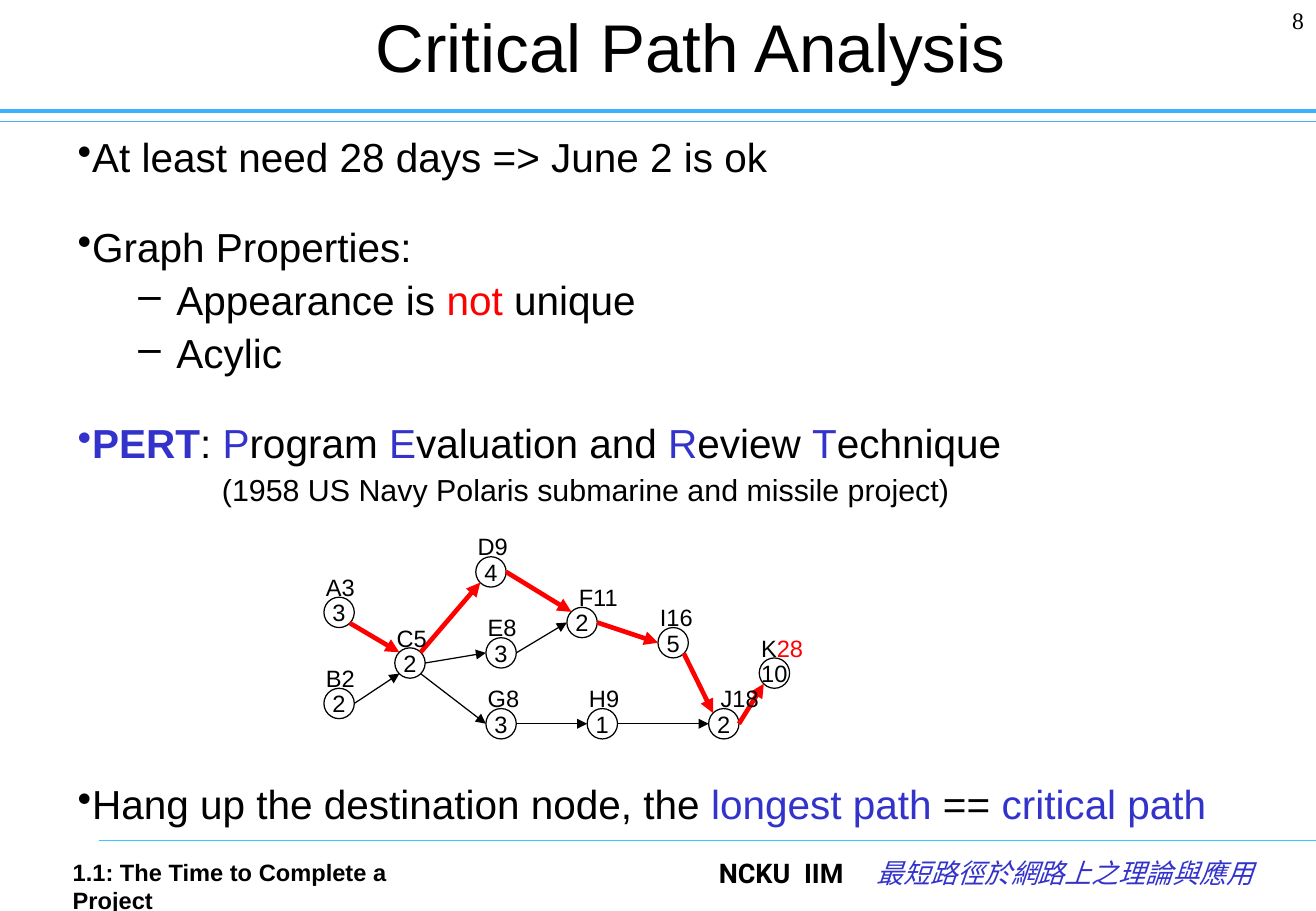
from dataclasses import dataclass
from typing import Any

from lxml import etree
from pptx import Presentation
from pptx.dml.color import RGBColor
from pptx.enum.shapes import MSO_CONNECTOR, MSO_SHAPE
from pptx.enum.text import MSO_ANCHOR, MSO_AUTO_SIZE, PP_ALIGN
from pptx.oxml.ns import qn
from pptx.util import Pt

STRAIGHT = MSO_CONNECTOR.STRAIGHT
CIRCLE = MSO_SHAPE.FLOWCHART_CONNECTOR
MIDDLE = MSO_ANCHOR.MIDDLE
FIXED = MSO_AUTO_SIZE.NONE
LEFT, CENTER, RIGHT = PP_ALIGN.LEFT, PP_ALIGN.CENTER, PP_ALIGN.RIGHT


@dataclass(frozen=True)
class Theme:
    black: str = "000000"
    red: str = "FF0000"
    blue: str = "3333CC"
    sky: str = "3DB0FF"
    aqua: str = "33CCFF"
    sans: str = "Arial"
    serif: str = "Times New Roman"
    brand: str = "Roboto"
    mono: str = "Courier New"
    title: float = 40
    body: float = 24
    note: float = 18
    foot: float = 16
    small: float = 14
    thin: float = 0.75
    rule: float = 2.5
    bold: float = 2.75


@dataclass(frozen=True)
class Span:
    text: str
    color: str = Theme.black
    bold: bool = False


@dataclass(frozen=True)
class Item:
    spans: list[Span]
    before: float = 0
    bullet: str = "•"
    left: float = 0
    hang: float = 0
    size: float = Theme.body


@dataclass(frozen=True)
class Node:
    x: float
    y: float
    days: str
    label: str
    shift: float = -6
    hot: str = ""


@dataclass(frozen=True)
class Edge:
    tail: str
    start: str
    head: str
    end: str
    main: bool = False


T = Theme()
SIDE = 18
DIAG = 0.35 * SIDE
SITES = {"left": (-SIDE / 2, 0), "right": (SIDE / 2, 0), "TL": (-DIAG, -DIAG),
         "TR": (DIAG, -DIAG), "BL": (-DIAG, DIAG), "BR": (DIAG, DIAG)}

ITEMS = [
    Item([Span("At least need 28 days => June 2 is ok")]),
    Item([Span("Graph Properties:")], before=27.3),
    Item([Span("Appearance is "), Span("not", T.red), Span(" unique")],
         before=5.5, bullet="–", left=58.5, hang=-22.5),
    Item([Span("Acylic")], before=5.5, bullet="–", left=58.5, hang=-22.5),
    Item([Span("PERT", T.blue, True), Span(": "), Span("P", T.blue), Span("rogram "),
          Span("E", T.blue), Span("valuation and "), Span("R", T.blue), Span("eview "),
          Span("T", T.blue), Span("echnique")], before=27.3),
    Item([Span("(1958 US Navy Polaris submarine and missile project)")],
         before=5, bullet="", left=85.5, size=T.note),
    Item([Span("Hang up the destination node, the "), Span("longest path", T.blue),
          Span(" == "), Span("critical path", T.blue)], before=164),
]

NODES = {
    "A": Node(192, 354, "3", "A3"),
    "B": Node(192, 408, "2", "B2"),
    "C": Node(234, 384, "2", "C5"),
    "D": Node(282, 330, "4", "D9"),
    "E": Node(288, 378, "3", "E8"),
    "F": Node(336, 360, "2", "F11", shift=0),
    "G": Node(288, 420, "3", "G8"),
    "H": Node(348, 420, "1", "H9"),
    "I": Node(390, 372, "5", "I16"),
    "J": Node(420, 420, "2", "J18", shift=0),
    "K": Node(450, 390, "10", "K", hot="28"),
}

EDGES = [
    Edge("A", "BR", "C", "TL", True),
    Edge("B", "right", "C", "BL"),
    Edge("C", "TR", "D", "BL", True),
    Edge("C", "right", "E", "left"),
    Edge("C", "BR", "G", "left"),
    Edge("D", "right", "F", "TL", True),
    Edge("E", "right", "F", "left"),
    Edge("G", "right", "H", "left"),
    Edge("F", "right", "I", "left", True),
    Edge("H", "right", "J", "left"),
    Edge("I", "BR", "J", "TL", True),
    Edge("J", "right", "K", "BL", True),
]


def write(para: Any, text: str, *, size: float = T.small, color: str = T.black,
          font: str = T.sans, bold: bool = False, italic: bool = False) -> None:
    run = para.add_run()
    run.text = text
    run.font.size, run.font.name = Pt(size), font
    run.font.bold, run.font.italic = bold, italic
    run.font.color.rgb = RGBColor.from_string(color)


def add_box(shapes: Any, x: float, y: float, w: float, h: float,
            align: PP_ALIGN = LEFT) -> Any:
    frame = shapes.add_textbox(Pt(x), Pt(y), Pt(w), Pt(h)).text_frame
    frame.word_wrap = True
    frame.paragraphs[0].alignment = align
    return frame


def add_line(shapes: Any, start: tuple[float, float], end: tuple[float, float],
             color: str, width: float, arrow: bool = False) -> None:
    line = shapes.add_connector(STRAIGHT, *map(Pt, start + end))
    line.line.color.rgb = RGBColor.from_string(color)
    line.line.width = Pt(width)
    if arrow:
        etree.SubElement(line.line._get_or_add_ln(), qn("a:tailEnd"), type="triangle")
    etree.SubElement(line._element.spPr, qn("a:effectLst"))


def add_item(para: Any, item: Item) -> None:
    para.line_spacing = 0.9
    para.space_before = Pt(item.before)
    props = para._p.get_or_add_pPr()
    props.set("marL", str(Pt(item.left)))
    props.set("indent", str(Pt(item.hang)))
    if item.bullet:
        etree.SubElement(props, qn("a:buChar"), char=item.bullet)
    else:
        etree.SubElement(props, qn("a:buNone"))
    for span in item.spans:
        write(para, span.text, size=item.size, color=span.color, bold=span.bold)


def add_node(shapes: Any, node: Node) -> None:
    shape = shapes.add_shape(CIRCLE, Pt(node.x), Pt(node.y), Pt(SIDE), Pt(SIDE))
    shape.shadow.inherit = False
    shape.fill.background()
    shape.line.color.rgb = RGBColor.from_string(T.black)
    shape.line.width = Pt(T.thin)
    frame = shape.text_frame
    frame.word_wrap = False
    frame.vertical_anchor = MIDDLE
    frame.paragraphs[0].alignment = CENTER
    write(frame.paragraphs[0], node.days)


def add_label(shapes: Any, node: Node) -> None:
    para = add_box(shapes, node.x + node.shift, node.y - SIDE, 48, 24).paragraphs[0]
    write(para, node.label)
    if node.hot:
        write(para, node.hot, color=T.red)


def get_site(name: str, site: str) -> tuple[float, float]:
    node, (dx, dy) = NODES[name], SITES[site]
    return node.x + SIDE / 2 + dx, node.y + SIDE / 2 + dy


def main() -> None:
    deck = Presentation()
    deck.slide_width, deck.slide_height = Pt(780), Pt(540)
    slide = deck.slides.add_slide(deck.slide_layouts[5])
    shapes = slide.shapes

    # Rules
    add_line(shapes, (0, 72), (780, 72), T.sky, T.thin)
    add_line(shapes, (0, 66), (780, 66), T.sky, T.rule)
    add_line(shapes, (58.5, 498), (780, 498), T.aqua, T.thin)

    # Title and page number
    title = shapes.title
    title.left, title.top, title.width, title.height = map(Pt, (103.5, 0, 611.5, 54))
    title.text_frame.auto_size = FIXED
    title.text_frame.vertical_anchor = MIDDLE
    title.text_frame.paragraphs[0].alignment = CENTER
    write(title.text_frame.paragraphs[0], "Critical Path Analysis", size=T.title)
    page = add_box(shapes, 715, 0, 65, 36, RIGHT)
    write(page.paragraphs[0], "8", font=T.serif)

    # Body
    body = add_box(shapes, 39, 78, 717, 426)
    for pos, item in enumerate(ITEMS):
        add_item(body.add_paragraph() if pos else body.paragraphs[0], item)

    # Network
    net = shapes.add_group_shape().shapes
    for node in NODES.values():
        add_node(net, node)
    for edge in EDGES:
        add_line(net, get_site(edge.tail, edge.start), get_site(edge.head, edge.end),
                 T.red if edge.main else T.black, T.bold if edge.main else T.thin, True)
    for node in NODES.values():
        add_label(net, node)

    # Footer
    topic = add_box(shapes, 36, 505, 240, 24)
    write(topic.paragraphs[0], "1.1: The Time to Complete a Project", bold=True)
    course = add_box(shapes, 419, 504, 345, 36).paragraphs[0]
    tabs = etree.SubElement(course._p.get_or_add_pPr(), qn("a:tabLst"))
    for stop in (50.5, 93.5):
        etree.SubElement(tabs, qn("a:tab"), pos=str(Pt(stop)), algn="l")
    write(course, "NCKU\tIIM\t", size=T.foot, font=T.brand, bold=True)
    write(course, "最短路徑於網路上之理論與應用", size=T.foot, color=T.blue,
          font=T.mono, italic=True)

    deck.save("out.pptx")


if __name__ == "__main__":
    main()
